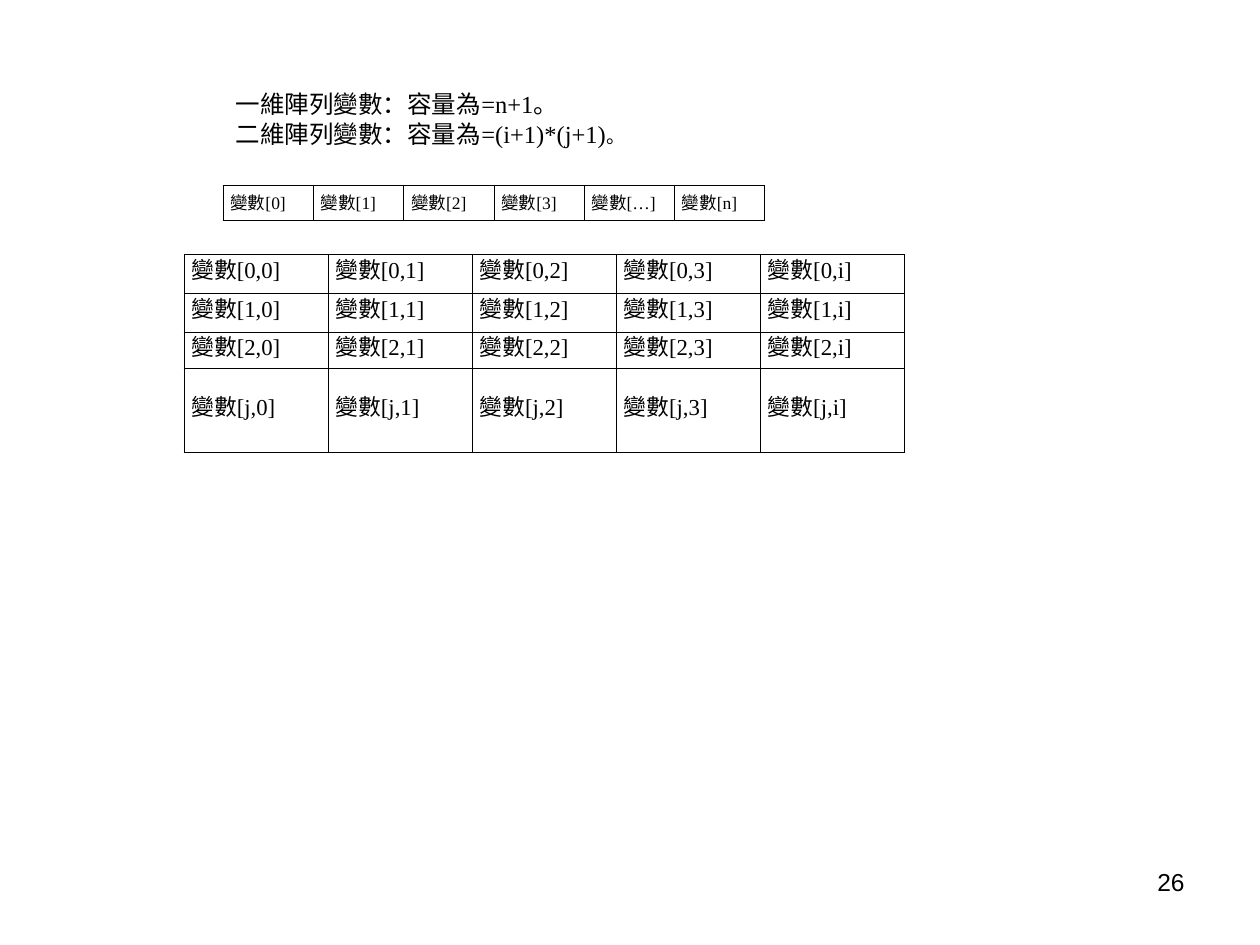
from lxml.etree import SubElement
from pptx import Presentation
from pptx.dml.color import RGBColor
from pptx.enum.text import MSO_ANCHOR, PP_ALIGN
from pptx.oxml.ns import qn
from pptx.util import Inches, Pt

INK = "000000"
SERIF = "Times New Roman"
CELL_FORMAT = {
    "margin_left": Inches(0.02), "margin_right": Inches(0.02),
    "margin_top": Inches(0.05), "margin_bottom": Inches(0.05),
}
PARAGRAPH_FORMAT = {"line_spacing": Pt(13), "space_after": Pt(1)}


def set_attributes(target, values):
    """Set every value of a dict as an attribute of the target."""
    for name, value in values.items():
        setattr(target, name, value)


def set_color(color_format, value):
    """Give a colour format a hex colour."""
    color_format.rgb = RGBColor.from_string(value)


def add_run(paragraph, wording, size, font=SERIF):
    """Append a formatted run to a paragraph."""
    run = paragraph.add_run()
    run.text = wording
    set_attributes(run.font, {"name": font, "size": Pt(size)})
    set_color(run.font.color, INK)


def add_borders(cell):
    """Draw a thin line on all four sides of a cell."""
    properties = cell._tc.get_or_add_tcPr()
    for side in ("lnL", "lnR", "lnT", "lnB"):
        line = SubElement(properties, qn(f"a:{side}"), w=str(Pt(0.45)))
        fill = SubElement(line, qn("a:solidFill"))
        SubElement(fill, qn("a:srgbClr"), val=INK)


def add_array(slide, left, top, width, row_heights, indexes, size, anchor):
    """Place a grid of array variables, one per index."""
    height = sum(row_heights)
    columns = len(indexes[0])
    frame = slide.shapes.add_table(len(indexes), columns, Inches(left), Inches(top),
                                   Inches(width), Inches(height))
    array = frame.table
    set_attributes(array, {"first_row": False, "horz_banding": False})
    for column in array.columns:
        column.width = Inches(width / columns)
    for row, row_height, row_indexes in zip(array.rows, row_heights, indexes):
        row.height = Inches(row_height)
        for cell, index in zip(row.cells, row_indexes):
            set_attributes(cell, CELL_FORMAT | {"vertical_anchor": anchor})
            add_borders(cell)
            cell.fill.background()
            paragraph = cell.text_frame.paragraphs[0]
            set_attributes(paragraph, PARAGRAPH_FORMAT)
            paragraph._p.get_or_add_pPr().set("marL", str(Inches(0.04)))
            add_run(paragraph, f"變數[{index}]", size)


def add_capacities(slide, left, top, width, height):
    """Place the two capacity formulas."""
    capacities = slide.shapes.add_textbox(Inches(left), Inches(top),
                                          Inches(width), Inches(height)).text_frame
    set_attributes(capacities, {"word_wrap": True, "margin_left": Inches(0.13),
                                "margin_right": 0})
    one_dimension = capacities.paragraphs[0]
    add_run(one_dimension, "一維陣列變數：容量為=n+1。", 14)
    two_dimensions = capacities.add_paragraph()
    add_run(two_dimensions, "二維陣列變數：容量為=(i+1)*(j+1)", 14)
    add_run(two_dimensions, "。", 11)


def add_page_number(slide, left, top, width, height):
    """Place the right-aligned page number."""
    page_number = slide.shapes.add_textbox(Inches(left), Inches(top),
                                           Inches(width), Inches(height)).text_frame
    page_number.word_wrap = True
    paragraph = page_number.paragraphs[0]
    paragraph.alignment = PP_ALIGN.RIGHT
    add_run(paragraph, "26", 14, "Arial")


def main():
    """Build and save the slide."""
    deck = Presentation()
    set_attributes(deck, {"slide_width": Inches(10), "slide_height": Inches(7.5)})
    slide = deck.slides.add_slide(deck.slide_layouts[6])
    add_page_number(slide, 7.17, 6.83, 2.33, 0.52)
    add_array(slide, 1.77, 1.47, 4.3, [0.18], ["0123…n"], 10, MSO_ANCHOR.TOP)
    matrix = [[f"{row},{column}" for column in "0123i"] for row in "012j"]
    add_array(slide, 1.46, 2.02, 5.72, [0.31, 0.31, 0.24, 0.67], matrix, 13,
              MSO_ANCHOR.MIDDLE)
    add_capacities(slide, 1.74, 0.66, 3.43, 0.75)
    deck.save("out.pptx")


if __name__ == "__main__":
    main()
